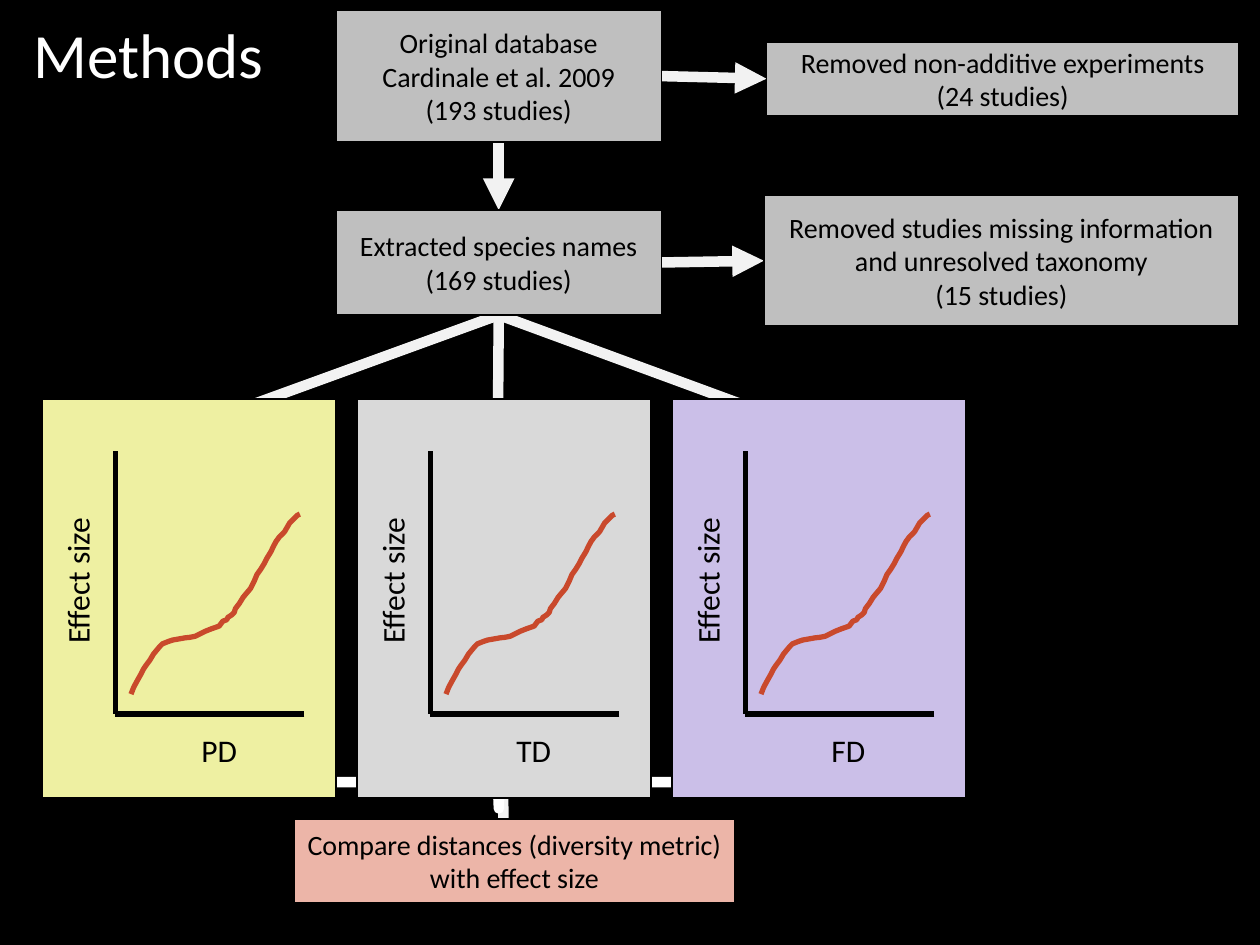
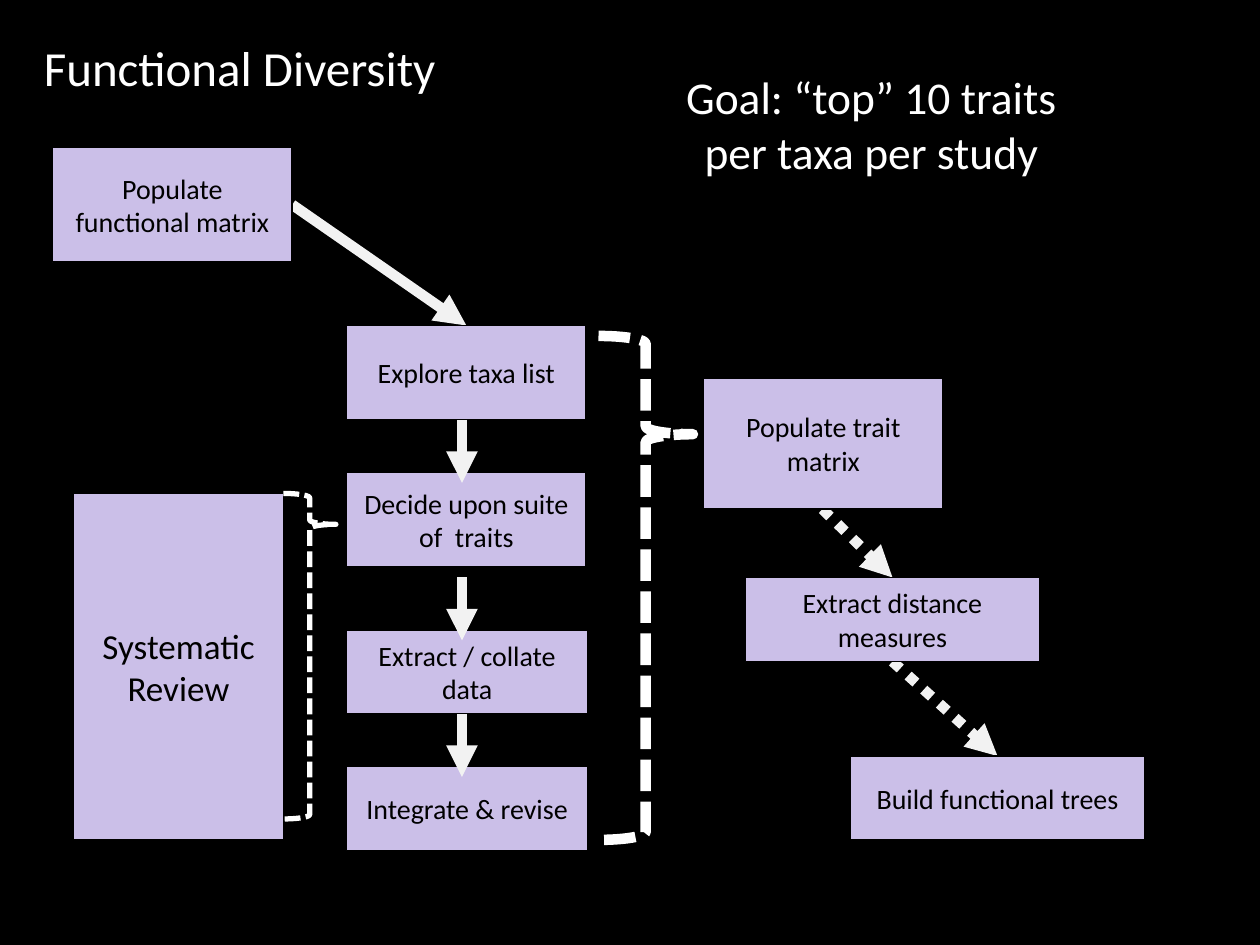
import lxml.etree
import pptx
import pptx.dml.color
import pptx.enum.dml
import pptx.enum.shapes
import pptx.enum.text
import pptx.oxml.ns
import pptx.util

Pt = pptx.util.Pt
RGBColor = pptx.dml.color.RGBColor
Shape = pptx.enum.shapes.MSO_SHAPE
Dash = pptx.enum.dml.MSO_LINE
Align = pptx.enum.text.PP_ALIGN
Anchor = pptx.enum.text.MSO_ANCHOR
qn = pptx.oxml.ns.qn

BLACK = RGBColor(0x00, 0x00, 0x00)
WHITE = RGBColor(0xFF, 0xFF, 0xFF)
ARROW = RGBColor(0xF2, 0xF2, 0xF2)
GREY = RGBColor(0xBF, 0xBF, 0xBF)
PALE_GREY = RGBColor(0xD9, 0xD9, 0xD9)
YELLOW = RGBColor(0xEE, 0xF0, 0xA2)
LILAC = RGBColor(0xCB, 0xBF, 0xE8)
SALMON = RGBColor(0xEC, 0xB5, 0xA8)
RUST = RGBColor(0xC9, 0x49, 0x2C)
FONT = "Calibri"

# Boxes: lines of text, (left, top, width, height), fill
SCREENING_BOXES = [
    (["Original database", "Cardinale et al. 2009", "(193 studies)"], (192, 6, 186, 75), GREY),
    (["Removed non-additive experiments", "(24 studies)"], (438, 24, 270, 42), GREY),
    (["Removed studies missing information and unresolved taxonomy", "(15 studies)"],
     (436.5, 111.5, 271.5, 75), GREY),
    (["Extracted species names", "(169 studies)"], (192, 120, 186, 60), GREY),
    (["Compare distances (diversity metric) with effect size"], (168, 468, 252, 48), SALMON),
]
SCREENING_ARROWS = [
    ((378, 43.5), (438, 45)),
    ((285, 81), (285, 120)),
    ((378, 150), (436.5, 149)),
    ((287, 428), (288, 486)),
]
FAN_START = (285, 180)
FAN_ENDS = [(284.5, 246), (103.5, 246), (464.5, 246)]

PANELS = [("PD", YELLOW), ("TD", PALE_GREY), ("FD", LILAC)]
PANEL_LEFT, PANEL_TOP, PANEL_WIDTH, PANEL_HEIGHT, PANEL_STEP = 24, 228, 168, 228, 180
# Axis ends and curve points, measured from the corner of a panel
AXIS_TOP, AXIS_CORNER, AXIS_RIGHT = (42, 30), (42, 180), (150, 180)
CURVE = [
    (50.9, 168.7), (52.3, 165.1), (53.8, 162.2), (56.6, 157.2), (58.1, 154.3),
    (59.5, 152.2), (61.7, 149.3), (63.8, 145.7), (67.4, 141.4), (68.9, 139.9),
    (72.5, 138.5), (74.6, 137.8), (81.8, 136.5), (84.7, 136.2), (87.6, 135.6),
    (93.4, 132.7), (97, 131.3), (101.3, 129.8), (103.4, 127), (105.6, 126.2),
    (106.3, 124.8), (108.5, 123.4), (109.9, 121.9), (110.6, 119.8), (112.8, 116.9),
    (115, 113.3), (119.3, 108.2), (121.4, 103.9), (122.9, 100.3), (125, 97.4),
    (127.2, 93.8), (128.6, 91), (130.8, 87.4), (132.2, 84.5), (133.7, 81.6),
    (135.8, 78.7), (137.3, 77.3), (138.7, 75.8), (141.6, 70.8), (144.5, 67.9),
    (145.9, 66.5), (147.4, 65.8),
]

TRAIT_BOXES = [
    ("Populate functional matrix", (30, 84, 137, 66)),
    ("Explore taxa list", (198, 186, 137, 54)),
    ("Decide upon suite of  traits", (198, 270, 137, 54)),
    ("Extract / collate data", (198, 360, 138, 48)),
    ("Integrate & revise", (198, 438, 138, 48)),
    ("Populate trait matrix", (402, 216, 137, 75)),
    ("Extract distance measures", (426, 330, 168, 48)),
    ("Build functional trees", (486, 432, 168, 48)),
]
REVIEW_AREA = (42, 282, 120, 198)
STEP_X, STEP_LENGTH, STEP_TOPS = 264, 36, (240, 330, 408)
DOTTED_ARROWS = [((470, 291), (510, 330)), ((510, 378), (570, 432))]


def in_points(numbers):
    return [Pt(number) for number in numbers]


def write(shape, lines, size=16, color=BLACK, align=Align.CENTER, anchor=Anchor.MIDDLE,
          wrap=True, spacing=None):
    frame = shape.text_frame
    frame.word_wrap = wrap
    frame.vertical_anchor = anchor
    for index, line in enumerate(lines):
        para = frame.paragraphs[0] if index == 0 else frame.add_paragraph()
        para.alignment = align
        if spacing:
            para.line_spacing = spacing
        span = para.add_run()
        span.text = line
        span.font.name = FONT
        span.font.size = Pt(size)
        span.font.color.rgb = color


def add_text(page, text, area, rotation=0, **text_format):
    box = page.shapes.add_textbox(*in_points(area))
    box.rotation = rotation
    write(box, [text], **{"anchor": Anchor.TOP, "align": Align.LEFT, **text_format})


def set_line(shape, color, width, dash=None):
    shape.line.color.rgb = color
    shape.line.width = Pt(width)
    if dash is not None:
        shape.line.dash_style = dash


def add_box(page, area, fill, lines=(), **text_format):
    box = page.shapes.add_shape(Shape.RECTANGLE, *in_points(area))
    box.shadow.inherit = False
    box.fill.solid()
    box.fill.fore_color.rgb = fill
    set_line(box, BLACK, 1)
    write(box, lines, **text_format)


def add_brace(page, area, width=6, dash=None, adjustments=(), rotation=0):
    brace = page.shapes.add_shape(Shape.RIGHT_BRACE, *in_points(area))
    brace.shadow.inherit = False
    brace.fill.background()
    brace.rotation = rotation
    set_line(brace, WHITE, width, dash)
    for index, value in enumerate(adjustments):
        brace.adjustments[index] = value


def add_line(page, start, end, color=BLACK, width=3, dash=None, arrow=False):
    line = page.shapes.add_connector(pptx.enum.shapes.MSO_CONNECTOR.STRAIGHT,
                                     *in_points(start + end))
    set_line(line, color, width, dash)
    properties = line._element.spPr
    if arrow:
        lxml.etree.SubElement(properties.find(qn("a:ln")), qn("a:tailEnd"), type="triangle")
    lxml.etree.SubElement(properties, qn("a:effectLst"))


def add_arrow(page, start, end, dash=None):
    add_line(page, start, end, color=ARROW, width=6, dash=dash, arrow=True)


def add_panel(page, left, top, metric, fill):
    """Add a sketched graph of effect size against one diversity metric."""
    def shift(point):
        return left + point[0], top + point[1]

    add_box(page, (left, top, PANEL_WIDTH, PANEL_HEIGHT), fill)
    add_line(page, shift(AXIS_TOP), shift(AXIS_CORNER))
    add_line(page, shift(AXIS_RIGHT), shift(AXIS_CORNER))
    add_text(page, "Effect size", shift((-23.3, 88.8)) + (87, 29), rotation=270,
             size=18, wrap=False)
    add_text(page, metric, shift((84, 186)) + (35, 29), size=18, wrap=False)
    points = [in_points(shift(point)) for point in CURVE]
    builder = page.shapes.build_freeform(*points[0])
    builder.add_line_segments(points[1:], close=False)
    curve = builder.convert_to_shape()
    curve.shadow.inherit = False
    curve.fill.background()
    set_line(curve, RUST, 3)


def add_page(deck):
    page = deck.slides.add_slide(deck.slide_layouts[6])
    page.background.fill.solid()
    page.background.fill.fore_color.rgb = BLACK
    return page


def build_methods(deck):
    page = add_page(deck)
    add_text(page, "Methods", (12, -12, 648, 90), size=36, color=WHITE,
             anchor=Anchor.MIDDLE, spacing=0.9)
    for start, end in SCREENING_ARROWS:
        add_arrow(page, start, end)
    for end in FAN_ENDS:
        add_arrow(page, FAN_START, end)
    add_brace(page, (270, 264, 30, 366), rotation=90)
    for lines, area, fill in SCREENING_BOXES:
        add_box(page, area, fill, lines)
    for index, (metric, fill) in enumerate(PANELS):
        add_panel(page, PANEL_LEFT + index * PANEL_STEP, PANEL_TOP, metric, fill)


def build_functional_diversity(deck):
    page = add_page(deck)
    add_text(page, "Functional Diversity", (18, 18, 241, 41), size=28, color=WHITE, wrap=False)
    add_text(page, "Goal: “top” 10 traits per taxa per study", (384, 36, 228, 70.5),
             size=26, color=WHITE, align=Align.CENTER)
    add_arrow(page, (167, 117), (266.5, 186))
    for start, end in DOTTED_ARROWS:
        add_arrow(page, start, end, dash=Dash.ROUND_DOT)
    for text, area in TRAIT_BOXES:
        add_box(page, area, LILAC, [text])
    add_box(page, REVIEW_AREA, LILAC, ["Systematic Review"], size=20)
    for top in STEP_TOPS:
        add_arrow(page, (STEP_X, top), (STEP_X, top + STEP_LENGTH))
    add_brace(page, (342, 192, 54, 288), dash=Dash.SQUARE_DOT, adjustments=(0.083, 0.195))
    add_brace(page, (162, 282, 30, 186), width=3, dash=Dash.SQUARE_DOT,
              adjustments=(0.083, 0.095))


def main():
    deck = pptx.Presentation()
    deck.slide_width, deck.slide_height = Pt(720), Pt(540)
    build_methods(deck)
    build_functional_diversity(deck)
    deck.save("out.pptx")


if __name__ == "__main__":
    main()
